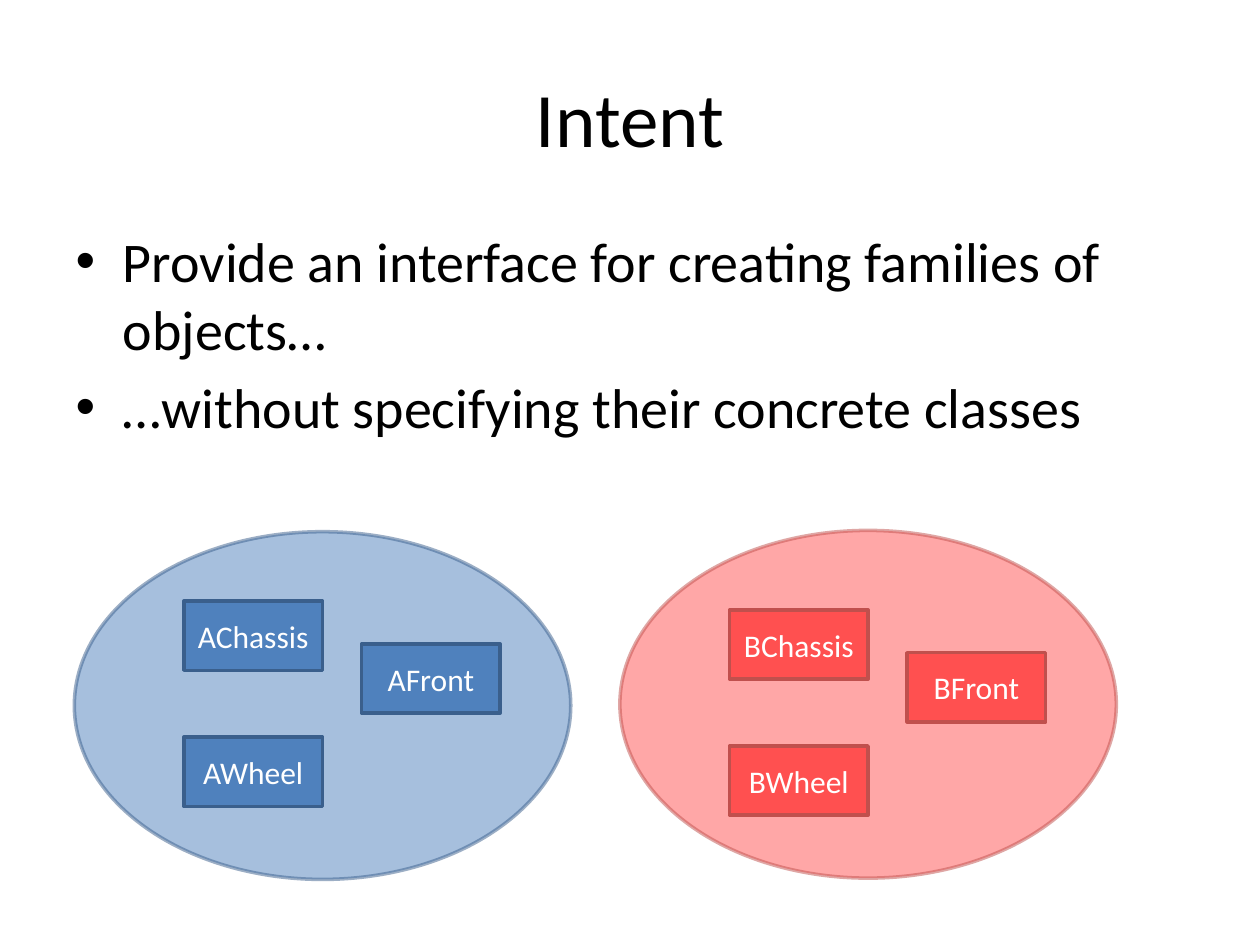
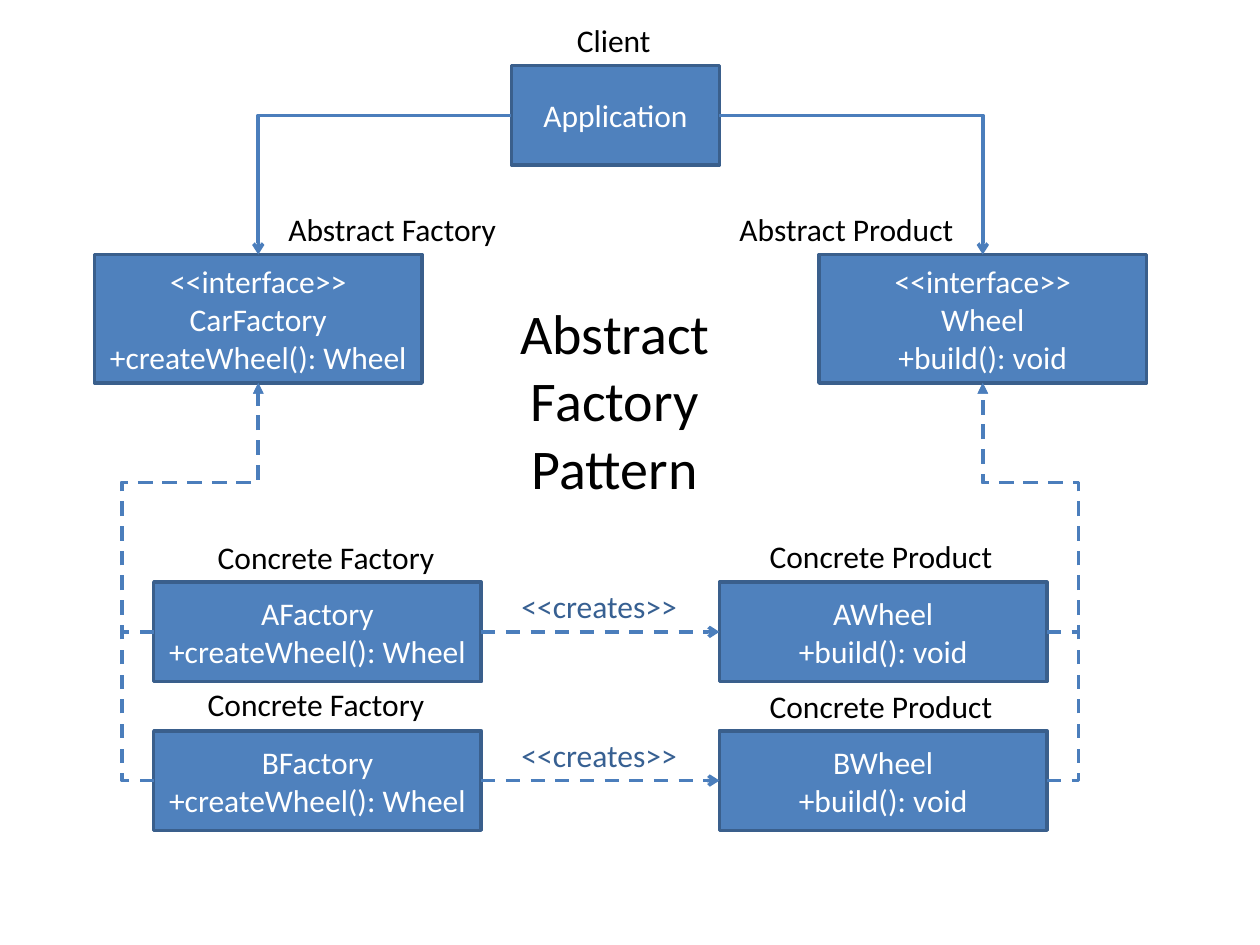
from dataclasses import dataclass

from lxml import etree
from pptx import Presentation
from pptx.dml.color import RGBColor
from pptx.enum import dml, shapes, text
from pptx.oxml.ns import qn
from pptx.util import Inches, Pt


@dataclass(frozen=True)
class Theme:
    font: str = "Calibri"
    ink: str = "000000"
    paper: str = "FFFFFF"
    blue: tuple = ("4F81BD", "3A5F8C")
    red: tuple = ("FF5050", "C0504D")
    wire: str = "4B7EBC"
    note: str = "376092"
    title_size: int = 44
    body_size: int = 32
    label_size: int = 18
    line_width: int = 2


TOP, LEFT, BOTTOM, RIGHT = range(4)
TITLE_AND_BODY, TITLE_ONLY = 1, 5


class Diagram:
    def __init__(self, deck, theme):
        self.deck = deck
        self.theme = theme
        self.page = None

    def new_page(self, layout):
        self.page = self.deck.slides.add_slide(self.deck.slide_layouts[layout])

    def set_words(self, shape, words, size, color, align=None):
        shape.text_frame.text = words
        for para in shape.text_frame.paragraphs:
            if align is not None:
                para.alignment = align
            for span in para.runs:
                span.font.name = self.theme.font
                span.font.size = Pt(size)
                span.font.color.rgb = RGBColor.from_string(color)

    def place(self, shape, left, top, width, height):
        shape.left, shape.top = Inches(left), Inches(top)
        shape.width, shape.height = Inches(width), Inches(height)

    def title(self, words, area, size):
        holder = self.page.shapes.title
        self.place(holder, *area)
        self.set_words(holder, words, size, self.theme.ink, text.PP_ALIGN.CENTER)
        holder.text_frame.auto_size = text.MSO_AUTO_SIZE.NONE
        holder.text_frame.vertical_anchor = text.MSO_ANCHOR.MIDDLE

    def bullets(self, lines, area):
        holder = self.page.placeholders[1]
        self.place(holder, *area)
        self.set_words(holder, "\n".join(lines), self.theme.body_size, self.theme.ink)

    def solid(self, kind, area, colors):
        shape = self.page.shapes.add_shape(kind, *map(Inches, area))
        shape.shadow.inherit = False
        fill, line = map(RGBColor.from_string, colors)
        shape.fill.solid()
        shape.fill.fore_color.rgb = fill
        shape.line.color.rgb = line
        shape.line.width = Pt(self.theme.line_width)
        return shape

    def box(self, words, area, colors):
        shape = self.solid(shapes.MSO_SHAPE.RECTANGLE, area, colors)
        self.set_words(shape, words, self.theme.label_size, self.theme.paper,
                       text.PP_ALIGN.CENTER)
        return shape

    def oval(self, area, colors, opacity):
        shape = self.solid(shapes.MSO_SHAPE.OVAL, area, colors)
        for color in shape.element.spPr.iter(qn("a:srgbClr")):
            etree.SubElement(color, qn("a:alpha"), val=str(opacity * 1000))

    def label(self, words, left, top, width, color=None):
        shape = self.page.shapes.add_textbox(*map(Inches, (left, top, width, 0.4)))
        self.set_words(shape, words, self.theme.label_size, color or self.theme.ink)
        shape.text_frame.word_wrap = False
        shape.text_frame.auto_size = text.MSO_AUTO_SIZE.SHAPE_TO_FIT_TEXT

    def arrow(self, start, end, head="arrow", dashed=False, bend=None):
        kind = shapes.MSO_CONNECTOR.ELBOW if bend else shapes.MSO_CONNECTOR.STRAIGHT
        wire = self.page.shapes.add_connector(kind, 0, 0, 0, 0)
        wire.begin_connect(*start)
        wire.end_connect(*end)
        wire.line.color.rgb = RGBColor.from_string(self.theme.wire)
        wire.line.width = Pt(self.theme.line_width)
        if dashed:
            wire.line.dash_style = dml.MSO_LINE.DASH
        properties = wire.element.spPr
        etree.SubElement(properties.find(qn("a:ln")), qn("a:tailEnd"), type=head)
        etree.SubElement(properties, qn("a:effectLst"))
        if bend:
            properties.find(qn("a:prstGeom")).set("prst", bend)
        return wire

    def corner_arrow(self, start, end):
        self.arrow(start, end, bend="bentConnector2")

    def lane_arrow(self, start, end, lane, shelf):
        wire = self.arrow(start, end, "triangle", True, "bentConnector4")
        ratios = (
            (Inches(lane) - wire.begin_x) / (wire.end_x - wire.begin_x),
            (Inches(shelf) - wire.begin_y) / (wire.end_y - wire.begin_y),
        )
        guides = wire.element.spPr.find(qn("a:prstGeom")).get_or_add_avLst()
        for number, ratio in enumerate(ratios, 1):
            etree.SubElement(guides, qn("a:gd"), name=f"adj{number}",
                             fmla=f"val {round(ratio * 100000)}")


def build_intent(diagram):
    theme = diagram.theme
    diagram.new_page(TITLE_AND_BODY)
    diagram.title("Intent", (0.5, 0.3, 9, 1.25), theme.title_size)
    diagram.bullets(
        ("Provide an interface for creating families of objects…",
         "…without specifying their concrete classes"),
        (0.5, 1.75, 9, 4.95))
    families = (
        ("A", theme.blue, (0.59, 4.22), (1.46, 4.77)),
        ("B", theme.red, (4.92, 4.21), (5.79, 4.84)),
    )
    parts = (("Chassis", 0, 0), ("Wheel", 0, 1.08), ("Front", 1.41, 0.34))
    for family, colors, oval_corner, (left, top) in families:
        diagram.oval((*oval_corner, 3.94, 2.76), colors, 50)
        for part, across, down in parts:
            diagram.box(family + part, (left + across, top + down, 1.1, 0.55), colors)


def build_pattern(diagram):
    theme = diagram.theme
    diagram.new_page(TITLE_ONLY)
    diagram.title("Abstract\nFactory\nPattern", (4.02, 2.31, 1.72, 1.72), theme.body_size)

    create, build = "+createWheel(): Wheel", "+build(): void"
    client = diagram.box("Application", (4.06, 0.52, 1.65, 0.79), theme.blue)
    factory = diagram.box(f"<<interface>>\nCarFactory\n{create}",
                          (0.75, 2.02, 2.6, 1.02), theme.blue)
    product = diagram.box(f"<<interface>>\nWheel\n{build}",
                          (6.5, 2.02, 2.6, 1.02), theme.blue)
    diagram.corner_arrow((client, LEFT), (factory, TOP))
    diagram.corner_arrow((client, RIGHT), (product, TOP))

    for family, top in (("A", 4.62), ("B", 5.8)):
        maker = diagram.box(f"{family}Factory\n{create}", (1.22, top, 2.6, 0.79), theme.blue)
        wheel = diagram.box(f"{family}Wheel\n{build}", (5.71, top, 2.6, 0.79), theme.blue)
        diagram.lane_arrow((maker, LEFT), (factory, BOTTOM), 0.97, 3.83)
        diagram.lane_arrow((wheel, RIGHT), (product, BOTTOM), 8.56, 3.83)
        diagram.arrow((maker, RIGHT), (wheel, LEFT), dashed=True)
        diagram.label("<<creates>>", 4.04, top - 0.01, 1.45, theme.note)

    for words, left, top, width in (
        ("Client", 4.48, 0.12, 0.79),
        ("Abstract Factory", 2.19, 1.62, 1.87),
        ("Abstract Product", 5.77, 1.62, 1.92),
        ("Concrete Factory", 1.63, 4.22, 1.94),
        ("Concrete Factory", 1.55, 5.39, 1.94),
        ("Concrete Product", 6.01, 4.21, 1.99),
        ("Concrete Product", 6.01, 5.4, 1.99),
    ):
        diagram.label(words, left, top, width)


def main():
    deck = Presentation()
    deck.slide_width, deck.slide_height = Inches(10), Inches(7.5)
    diagram = Diagram(deck, Theme())
    build_intent(diagram)
    build_pattern(diagram)
    deck.save("out.pptx")


if __name__ == "__main__":
    main()
